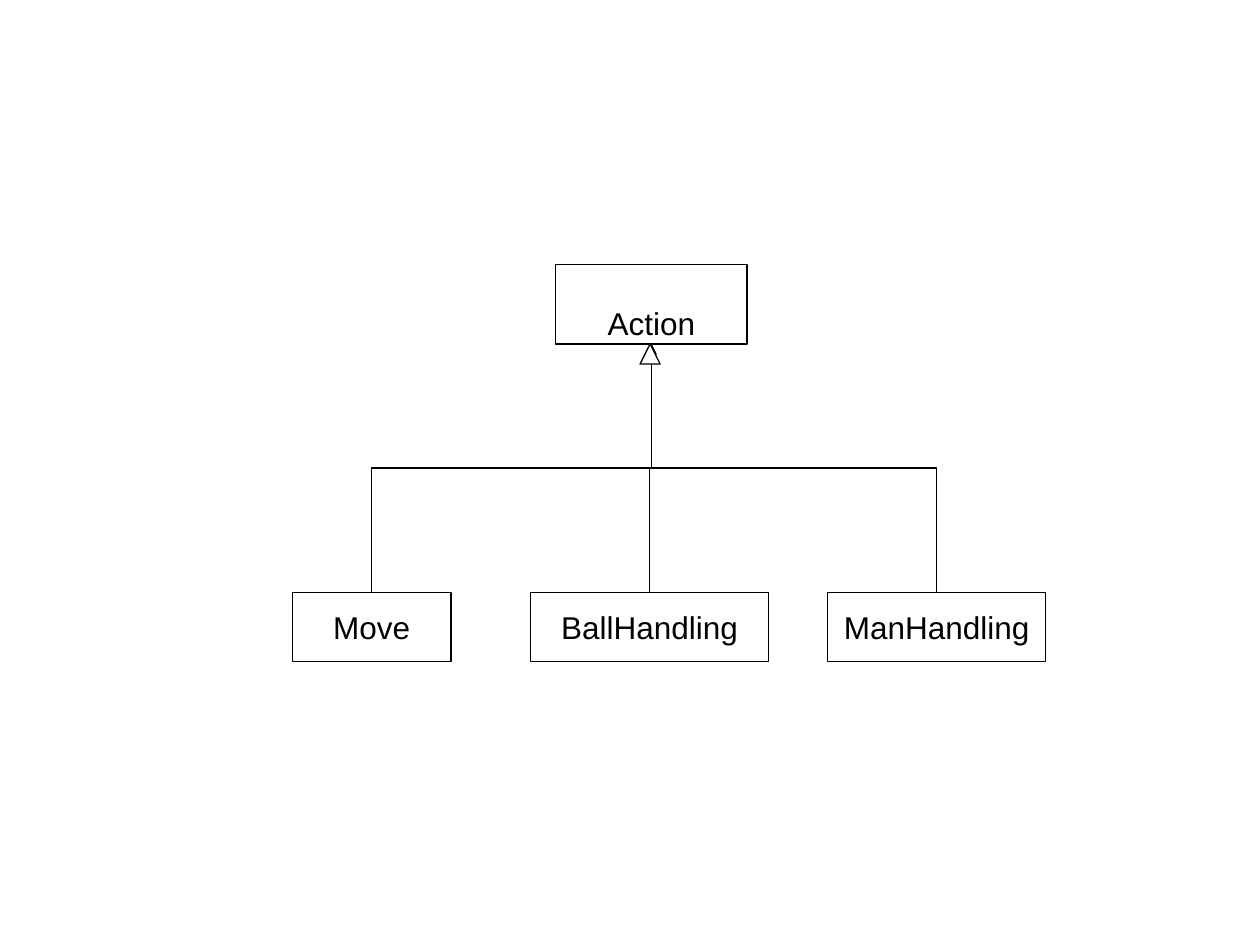
from lxml.etree import SubElement
from pptx import Presentation
from pptx.dml.color import RGBColor
from pptx.enum.shapes import MSO_CONNECTOR as CONN, MSO_SHAPE as SHAPE
from pptx.enum.text import MSO_ANCHOR, PP_ALIGN
from pptx.oxml.ns import qn
from pptx.util import Inches, Pt

# Content: class name, left, width (inches)
PARENT = ("Action", 4.41, 1.52)
CHILDREN = [("Move", 2.32, 1.26), ("BallHandling", 4.21, 1.89), ("ManHandling", 6.57, 1.73)]
PARENT_TOP, PARENT_H = 2.1, 0.63
CHILD_TOP, CHILD_H = 4.7, 0.55
HEAD = 0.16
TEXT_DROP = 0.29  # one line of text: the parent's name sits a line lower
INK, PAPER = "000000", "FFFFFF"
FONT = {"name": "Arial", "size": Pt(18)}


def color(hex_code):
    return RGBColor.from_string(hex_code)


def outline(line):
    line.color.rgb = color(INK)
    line.width = Pt(0.75)


def add_block(s, kind, left, top, width, height):
    sp = s.shapes.add_shape(kind, *map(Inches, (left, top, width, height)))
    sp.shadow.inherit = False
    sp.fill.solid()
    sp.fill.fore_color.rgb = color(PAPER)
    outline(sp.line)
    return sp


def add_class(s, item, top, height, drop=0):
    name, left, width = item
    tf = add_block(s, SHAPE.RECTANGLE, left, top, width, height).text_frame
    tf.word_wrap = False
    tf.vertical_anchor = MSO_ANCHOR.MIDDLE
    tf.margin_top = Inches(0.05 + drop)
    p = tf.paragraphs[0]
    p.alignment = PP_ALIGN.CENTER
    r = p.add_run()
    r.text = name
    for key, value in FONT.items():
        setattr(r.font, key, value)
    r.font.color.rgb = color(INK)


def add_inheritance(s, x1, y1, x2, y2):
    """Elbow that leaves vertically: laid out sideways, then turned by 90 degrees."""
    mx, my = (x1 + x2) / 2, (y1 + y2) / 2
    dx, dy = (x1 - x2) / 2, (y1 - y2) / 2
    ends = (mx + dy, my - dx, mx - dy, my + dx)
    c = s.shapes.add_connector(CONN.ELBOW, *map(Inches, ends))
    outline(c.line)
    props = c._element.spPr
    props.find(qn("a:xfrm")).set("rot", str(90 * 60000))
    SubElement(props.find(qn("a:ln")), qn("a:tailEnd"), type="triangle")
    SubElement(props, qn("a:effectLst"))


def main():
    prs = Presentation()
    prs.slide_width, prs.slide_height = Inches(10), Inches(7.5)
    s = prs.slides.add_slide(prs.slide_layouts[6])

    # Classes
    add_class(s, PARENT, PARENT_TOP, PARENT_H, TEXT_DROP)
    for child in CHILDREN:
        add_class(s, child, CHILD_TOP, CHILD_H)

    # Inheritance lines, from each child's top to the parent's bottom
    parent_x = PARENT[1] + PARENT[2] / 2
    parent_bottom = PARENT_TOP + PARENT_H
    for _, left, width in CHILDREN:
        add_inheritance(s, left + width / 2, CHILD_TOP, parent_x, parent_bottom)

    # Hollow generalization head
    add_block(s, SHAPE.FLOWCHART_EXTRACT, parent_x - HEAD / 2 - 0.01, parent_bottom, HEAD, HEAD)

    prs.save("out.pptx")


if __name__ == "__main__":
    main()
